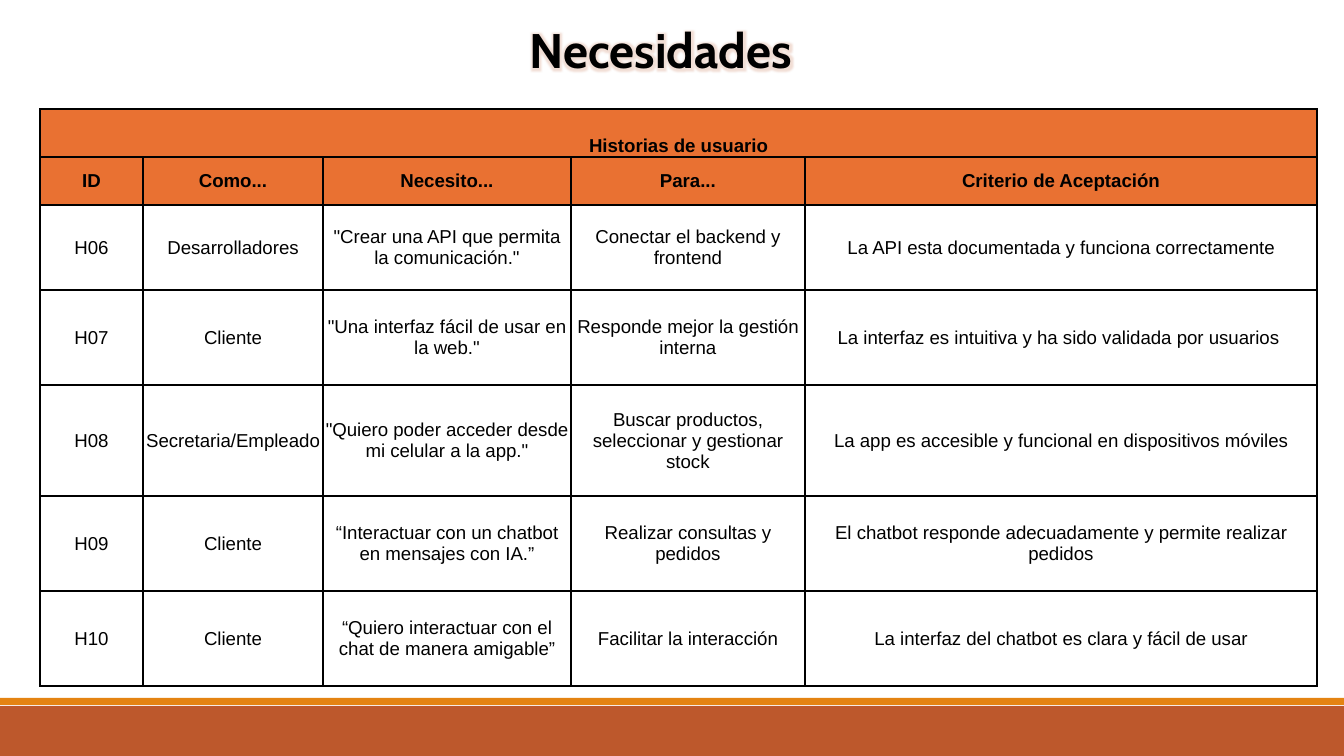
from lxml.etree import SubElement
from pptx import Presentation
from pptx.dml.color import RGBColor
from pptx.enum.shapes import MSO_SHAPE as Shape
from pptx.enum.text import MSO_ANCHOR as Anchor, PP_ALIGN as Align
from pptx.oxml import parse_xml
from pptx.oxml.ns import qn
from pptx.util import Emu, Pt

HEADING = "Necesidades"
BANNER = "Historias de usuario"
HEADERS = ["ID", "Como...", "Necesito...", "Para...", "Criterio de Aceptación"]
STORIES = [
    ["H06", "Desarrolladores", '"Crear una API que permita la comunicación."',
     "Conectar el backend y frontend",
     "La API esta documentada y funciona correctamente"],
    ["H07", "Cliente", '"Una interfaz fácil de usar en la web."',
     "Responde mejor la gestión interna",
     "La interfaz es intuitiva y ha sido validada por usuarios "],
    ["H08", "Secretaria/Empleado", '"Quiero poder acceder desde mi celular a la app."',
     "Buscar productos, seleccionar y gestionar stock",
     "La app es accesible y funcional en dispositivos móviles"],
    ["H09", "Cliente", "“Interactuar con un chatbot en mensajes con IA.”",
     "Realizar consultas y pedidos",
     "El chatbot responde adecuadamente y permite realizar pedidos"],
    ["H10", "Cliente", "“Quiero interactuar con el chat de manera amigable”",
     "Facilitar la interacción",
     "La interfaz del chatbot es clara y fácil de usar"],
]
COLUMN_WIDTHS = [103, 180, 248, 234, 512]
ROW_HEIGHTS = [48, 48, 85, 95, 111, 95, 95]
FOOTER_BANDS = [(706, 50, "BD582C"), (698, 7, "E48312")]
SLIDE_WIDTH, SLIDE_HEIGHT = 1344, 756
BLACK, WHITE, ORANGE = "000000", "FFFFFF", "E97132"
TITLE_FONT = {"name": "Cabin", "size": Pt(26), "bold": True}
CELL_FONT = {"name": "Arial", "size": Pt(10)}
GLOW = (
    '<a:effectLst xmlns:a="http://schemas.openxmlformats.org/drawingml/2006/main">'
    '<a:glow rad="63500"><a:srgbClr val="BD582C"><a:alpha val="20000"/></a:srgbClr>'
    '</a:glow></a:effectLst>'
)


def px(length):
    return Emu(round(length * 9144000 / SLIDE_WIDTH))


def color(code):
    return RGBColor.from_string(code)


def apply(target, values):
    for key, value in values.items():
        setattr(target, key, value)


def write(frame, words, font_format):
    paragraph = frame.paragraphs[0]
    paragraph.alignment = Align.CENTER
    run = paragraph.add_run()
    run.text = words
    run.font.color.rgb = color(BLACK)
    apply(run.font, font_format)
    return run


def add_borders(cell):
    properties = cell._tc.get_or_add_tcPr()
    for side in ("a:lnL", "a:lnR", "a:lnT", "a:lnB"):
        border = SubElement(properties, qn(side), w=str(Pt(1)))
        paint = SubElement(border, qn("a:solidFill"))
        SubElement(paint, qn("a:srgbClr"), val=BLACK)


def add_footer(slide):
    for top, height, shade in FOOTER_BANDS:
        band = slide.shapes.add_shape(
            Shape.RECTANGLE, 0, px(top), px(SLIDE_WIDTH), px(height))
        band.shadow.inherit = False
        band.fill.solid()
        band.fill.fore_color.rgb = color(shade)
        band.line.fill.background()


def add_heading(slide):
    title = slide.shapes.title
    apply(title, {"left": px(94), "top": px(7), "width": px(1134), "height": px(85)})
    apply(title.text_frame, {"vertical_anchor": Anchor.MIDDLE, "word_wrap": True})
    run = write(title.text_frame, HEADING, TITLE_FONT)
    run.font._element.find(qn("a:solidFill")).addnext(parse_xml(GLOW))


def add_stories(slide):
    rows = [[BANNER, "", "", "", ""], HEADERS, *STORIES]
    table = slide.shapes.add_table(
        len(rows), len(HEADERS), px(40), px(109),
        px(sum(COLUMN_WIDTHS)), px(sum(ROW_HEIGHTS))).table
    for column, width in zip(table.columns, COLUMN_WIDTHS):
        column.width = px(width)
    for row, height in zip(table.rows, ROW_HEIGHTS):
        row.height = px(height)
    table.cell(0, 0).merge(table.cell(0, len(HEADERS) - 1))

    for r, row in enumerate(rows):
        is_header = r < 2
        for c, words in enumerate(row):
            cell = table.cell(r, c)
            add_borders(cell)
            cell.fill.solid()
            cell.fill.fore_color.rgb = color(ORANGE if is_header else WHITE)
            apply(cell, {
                "margin_left": px(1), "margin_right": px(1),
                "margin_top": px(1), "margin_bottom": 0,
                "vertical_anchor": Anchor.MIDDLE if r else Anchor.BOTTOM,
            })
            if words:
                write(cell.text_frame, words, {**CELL_FONT, "bold": is_header})


def main():
    deck = Presentation()
    apply(deck, {"slide_width": px(SLIDE_WIDTH), "slide_height": px(SLIDE_HEIGHT)})
    slide = deck.slides.add_slide(deck.slide_layouts[5])
    add_footer(slide)
    add_heading(slide)
    add_stories(slide)
    deck.save("out.pptx")


if __name__ == "__main__":
    main()
